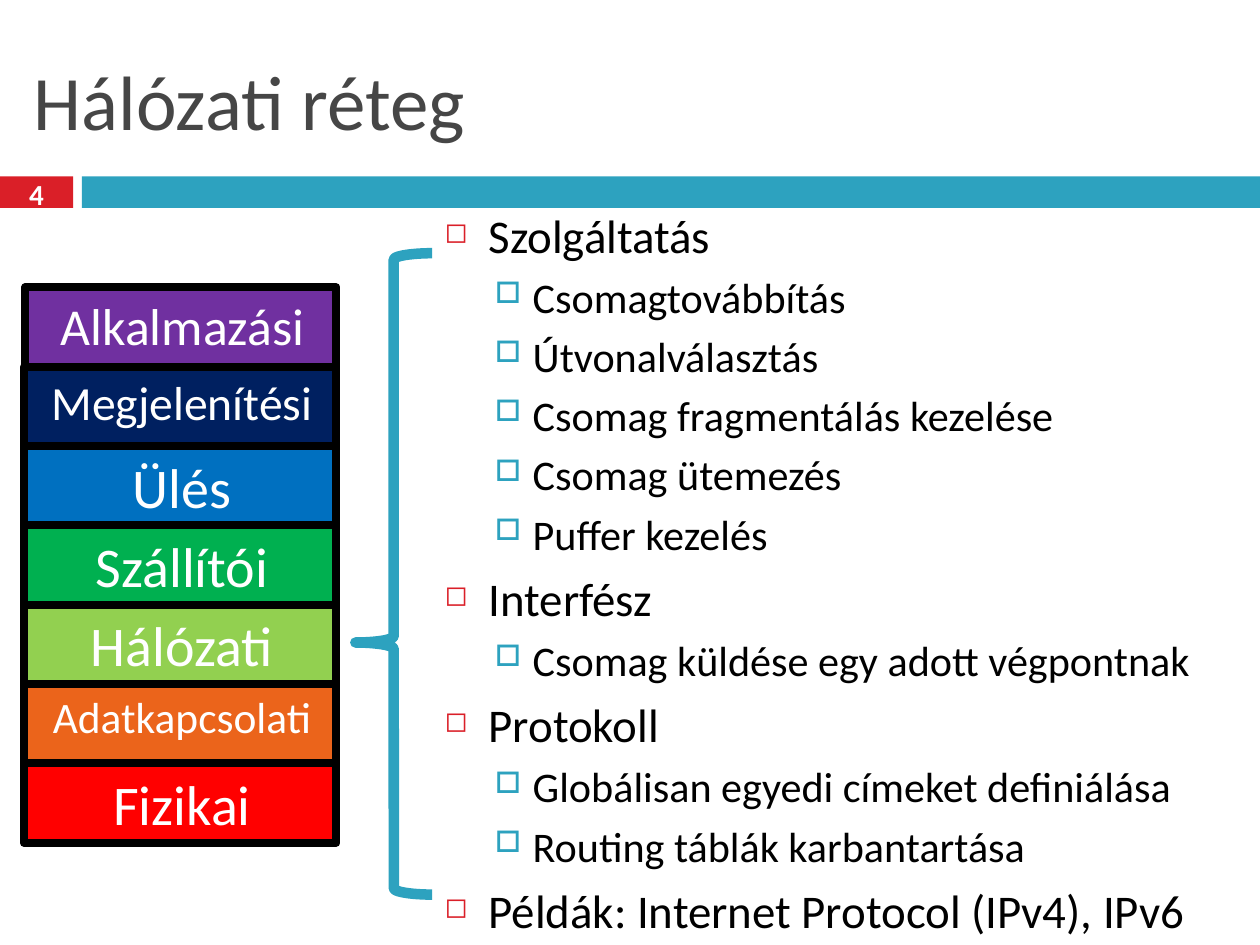
from dataclasses import dataclass

import pptx
import pptx.util
from lxml import etree
from pptx.dml.color import RGBColor
from pptx.enum.shapes import MSO_SHAPE
from pptx.enum.text import MSO_ANCHOR, PP_ALIGN
from pptx.oxml.ns import qn
from pptx.util import Inches, Pt

FONT = "Calibri"
RED = RGBColor(0xDA, 0x1F, 0x28)
TEAL = RGBColor(0x2D, 0xA2, 0xBF)
GREY = RGBColor(0x46, 0x46, 0x46)
BLACK = RGBColor(0x00, 0x00, 0x00)
WHITE = RGBColor(0xFF, 0xFF, 0xFF)
PURPLE = RGBColor(0x70, 0x30, 0xA0)
NAVY = RGBColor(0x00, 0x20, 0x60)
BLUE = RGBColor(0x00, 0x70, 0xC0)
GREEN = RGBColor(0x00, 0xB0, 0x50)
LIME = RGBColor(0x92, 0xD0, 0x50)
ORANGE = RGBColor(0xEB, 0x64, 0x1B)
BRIGHT_RED = RGBColor(0xFF, 0x00, 0x00)

SLIDE_WIDTH, SLIDE_HEIGHT = 10, 7.5
BAR_TOP, BAR_HEIGHT = 1.4, 0.25
NUMBER_WIDTH, BAR_LEFT = 0.58, 0.65
STACK_LEFT, STACK_TOP, STACK_WIDTH, ROW_HEIGHT = 0.19, 2.28, 2.48, 0.63


@dataclass(frozen=True)
class Layer:
    name: str
    fill: RGBColor
    size: float = 32
    inset: float = 0


@dataclass(frozen=True)
class Level:
    size: float
    space_before: float
    margin: float
    hanging: float
    bullet: str
    bullet_color: RGBColor
    bullet_percent: int


@dataclass(frozen=True)
class Topic:
    heading: str
    details: tuple[str, ...] = ()


LAYERS = (
    Layer("Alkalmazási", PURPLE, 29.6, 0.01),
    Layer("Megjelenítési", NAVY, 27.2),
    Layer("Ülés", BLUE),
    Layer("Szállítói", GREEN),
    Layer("Hálózati", LIME),
    Layer("Adatkapcsolati", ORANGE, 24.8),
    Layer("Fizikai", BRIGHT_RED),
)
LEVELS = (
    Level(26.8, 6.3, 0.35, 0.35, "◻", RED, 60),
    Level(24.1, 4.9, 0.7, 0.3, "□", TEAL, 70),
)
TOPICS = (
    Topic("Szolgáltatás", (
        "Csomagtovábbítás",
        "Útvonalválasztás",
        "Csomag fragmentálás kezelése",
        "Csomag ütemezés",
        "Puffer kezelés",
    )),
    Topic("Interfész", ("Csomag küldése egy adott végpontnak",)),
    Topic("Protokoll", (
        "Globálisan egyedi címeket definiálása",
        "Routing táblák karbantartása",
    )),
    Topic("Példák: Internet Protocol (IPv4), IPv6"),
)


def add_block(left: float, top: float, width: float, height: float,
              fill: RGBColor, border: float = 0) -> None:
    block = slide.shapes.add_shape(
        MSO_SHAPE.RECTANGLE, Inches(left), Inches(top), Inches(width), Inches(height))
    block.shadow.inherit = False
    block.fill.solid()
    block.fill.fore_color.rgb = fill
    if border:
        block.line.color.rgb = BLACK
        block.line.width = Pt(border)
    else:
        block.line.fill.background()


def add_frame(left: float, top: float, width: float, height: float,
              anchor: MSO_ANCHOR = MSO_ANCHOR.MIDDLE):
    frame = slide.shapes.add_textbox(
        Inches(left), Inches(top), Inches(width), Inches(height)).text_frame
    frame.word_wrap = True
    frame.vertical_anchor = anchor
    return frame


def write(paragraph, text: str, size: float, color: RGBColor,
          align: PP_ALIGN = PP_ALIGN.LEFT, bold: bool = False) -> None:
    paragraph.text = text
    paragraph.alignment = align
    paragraph.font.name = FONT
    paragraph.font.size = Pt(size)
    paragraph.font.bold = bold
    paragraph.font.color.rgb = color


def set_indent(paragraph, margin: float, first_line: float = 0):
    properties = paragraph._p.get_or_add_pPr()
    properties.set("marL", str(Inches(margin)))
    properties.set("indent", str(Inches(first_line)))
    return properties


def add_bullet(paragraph, level: Level) -> None:
    properties = set_indent(paragraph, level.margin, -level.hanging)
    color = etree.Element(qn("a:buClr"))
    etree.SubElement(color, qn("a:srgbClr"), val=str(level.bullet_color))
    size = etree.Element(qn("a:buSzPct"), val=str(level.bullet_percent * 1000))
    character = etree.Element(qn("a:buChar"), char=level.bullet)
    # Bullet settings come before the default run properties
    for element in (color, size, character):
        properties.find(qn("a:defRPr")).addprevious(element)


def add_layer(row: int, layer: Layer) -> None:
    left = STACK_LEFT + layer.inset
    top = STACK_TOP + row * ROW_HEIGHT
    width = STACK_WIDTH - layer.inset
    add_block(left, top, width, ROW_HEIGHT, layer.fill, border=4.5)
    label = add_frame(left - 0.03, top, width - 0.03, ROW_HEIGHT,
                      MSO_ANCHOR.TOP).paragraphs[0]
    write(label, layer.name, layer.size, WHITE, PP_ALIGN.CENTER)
    label.space_before = Pt(2.5)
    set_indent(label, 0.12)


def add_topics() -> None:
    body = add_frame(3.43, 1.75, 6.4, 5.58)
    lines = [(depth, text) for topic in TOPICS
             for depth, texts in enumerate(((topic.heading,), topic.details))
             for text in texts]
    for index, (depth, text) in enumerate(lines):
        paragraph = body.add_paragraph() if index else body.paragraphs[0]
        level = LEVELS[depth]
        write(paragraph, text, level.size, BLACK)
        paragraph.level = depth
        paragraph.space_before = Pt(level.space_before)
        add_bullet(paragraph, level)


presentation = pptx.Presentation()
presentation.slide_width = Inches(SLIDE_WIDTH)
presentation.slide_height = Inches(SLIDE_HEIGHT)
slide = presentation.slides.add_slide(presentation.slide_layouts[6])

# Header: bars, title and page number
add_block(0, BAR_TOP, NUMBER_WIDTH, BAR_HEIGHT, RED)
add_block(BAR_LEFT, BAR_TOP, SLIDE_WIDTH - BAR_LEFT, BAR_HEIGHT, TEAL)
write(add_frame(0.17, 0.25, 9.67, 1.08).paragraphs[0], "Hálózati réteg", 44, GREY)
write(add_frame(0, 1.37, NUMBER_WIDTH, 0.33).paragraphs[0], "4", 16.6, WHITE,
      PP_ALIGN.CENTER, bold=True)

# Description of the network layer
add_topics()

# Brace pointing at the network layer
brace = slide.shapes.add_shape(
    MSO_SHAPE.LEFT_BRACE, Inches(2.82), Inches(2.01), Inches(0.61), Inches(5.09))
brace.adjustments[0] = 0.083
brace.adjustments[1] = 0.607
brace.shadow.inherit = False
brace.fill.background()
brace.line.color.rgb = TEAL
brace.line.width = Pt(6)

# Layer stack
for row, layer in enumerate(LAYERS):
    add_layer(row, layer)

presentation.save("out.pptx")
